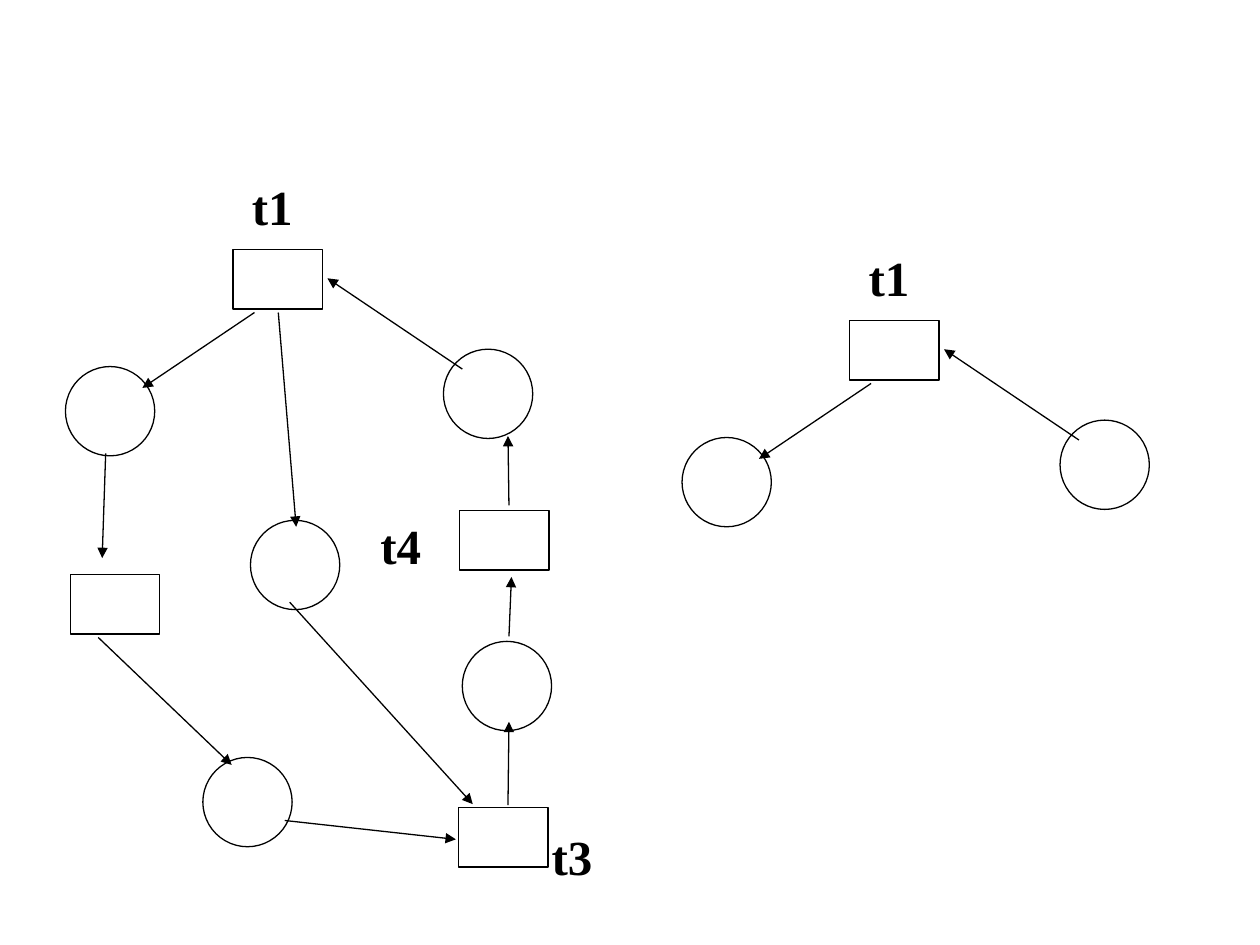
from dataclasses import dataclass

from lxml import etree
from pptx import Presentation
from pptx import util as u
from pptx.dml.color import RGBColor
from pptx.enum import shapes, text
from pptx.oxml import ns


@dataclass(frozen=True)
class Theme:
    ink: str = "000000"
    paper: str = "FFFFFF"
    font: str = "Times New Roman"
    size: float = 28
    line: float = 0.75


def write(frame, words, *, font, size, color, bold=False):
    para = frame.paragraphs[0]
    run = para.add_run()
    run.text = words
    run.font.name = font
    run.font.size = u.Pt(size)
    run.font.bold = bold
    run.font.color.rgb = RGBColor.from_string(color)


class Net:
    wide, high, label_w, label_h = 1.8, 1.2, 1.6, 1.7

    def __init__(self, slide, theme):
        self.slide = slide
        self.theme = theme
        self.home = slide.shapes
        self.dx = self.dy = 0

    def spot(self, x, y):
        return u.Cm(x + self.dx), u.Cm(y + self.dy)

    def stroke(self, item):
        item.line.color.rgb = RGBColor.from_string(self.theme.ink)
        item.line.width = u.Pt(self.theme.line)

    def step(self, x, y):
        box = self.home.add_shape(shapes.MSO_SHAPE.RECTANGLE, *self.spot(x, y),
                                  u.Cm(self.wide), u.Cm(self.high))
        box.shadow.inherit = False
        box.fill.solid()
        box.fill.fore_color.rgb = RGBColor.from_string(self.theme.paper)
        self.stroke(box)

    def place(self, x, y):
        ring = self.home.add_shape(shapes.MSO_SHAPE.OVAL, *self.spot(x, y),
                                   u.Cm(self.wide), u.Cm(self.wide))
        ring.shadow.inherit = False
        ring.fill.background()
        self.stroke(ring)

    def arrow(self, x1, y1, x2, y2):
        link = self.home.add_connector(shapes.MSO_CONNECTOR.STRAIGHT,
                                       *self.spot(x1, y1), *self.spot(x2, y2))
        self.stroke(link)
        etree.SubElement(link.line._get_or_add_ln(), ns.qn("a:tailEnd"), type="triangle")
        etree.SubElement(link._element.spPr, ns.qn("a:effectLst"))

    def label(self, words, x, y):
        box = self.home.add_textbox(*self.spot(x, y), u.Cm(self.label_w), u.Cm(self.label_h))
        frame = box.text_frame
        frame.word_wrap = True
        frame.vertical_anchor = text.MSO_ANCHOR.MIDDLE
        write(frame, words, font=self.theme.font, size=self.theme.size,
              color=self.theme.ink, bold=True)

    def fork(self, dx=0, dy=0):
        self.home = self.slide.shapes.add_group_shape().shapes
        self.dx, self.dy = dx, dy
        self.step(4.7, 5.03)
        self.place(8.94, 7.04)
        self.place(1.32, 7.39)
        self.arrow(5.13, 6.3, 2.87, 7.82)
        self.label("t1", 4.83, 3.3)
        self.arrow(9.32, 7.44, 6.6, 5.61)
        self.home = self.slide.shapes
        self.dx = self.dy = 0


STEPS = [(1.42, 11.58), (9.25, 16.28), (9.27, 10.29)]
PLACES = [(4.09, 15.27), (9.32, 12.93), (5.05, 10.49)]
ARROWS = [
    (5.74, 16.54, 9.19, 16.92),
    (1.98, 12.85, 4.67, 15.42),
    (5.84, 12.14, 9.53, 16.21),
    (5.61, 6.3, 5.97, 10.62),
    (2.13, 9.14, 2.06, 11.25),
    (10.24, 16.23, 10.26, 14.55),
    (10.26, 12.83, 10.31, 11.63),
    (10.26, 10.19, 10.24, 8.79),
]
LABELS = [("t3", 10.87, 16.41), ("t4", 7.42, 10.13)]


def main():
    deck = Presentation()
    deck.slide_width, deck.slide_height = u.Cm(25.4), u.Cm(19.05)
    net = Net(deck.slides.add_slide(deck.slide_layouts[6]), Theme())
    for draw, items in ((net.step, STEPS), (net.place, PLACES),
                        (net.arrow, ARROWS), (net.label, LABELS)):
        for item in items:
            draw(*item)
    net.fork()
    net.fork(dx=12.43, dy=1.43)
    deck.save("out.pptx")


if __name__ == "__main__":
    main()
